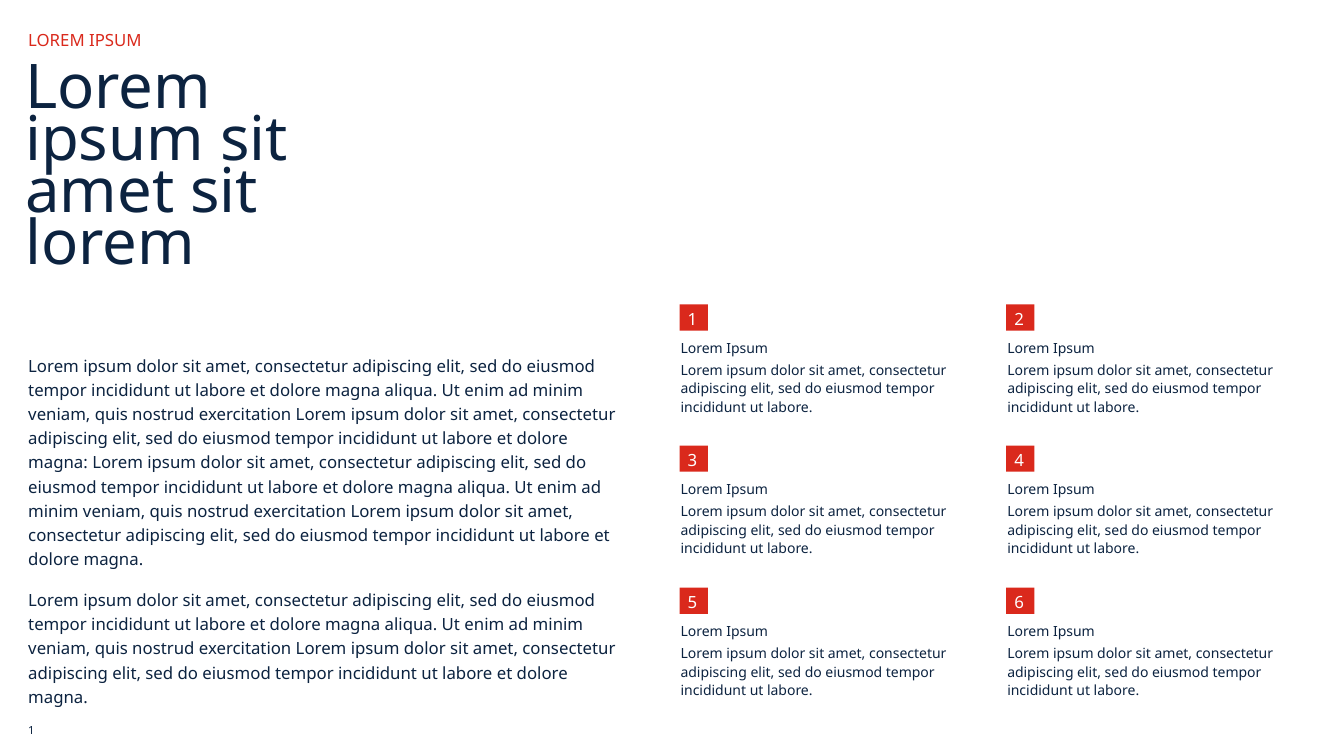
from pptx import Presentation
from pptx.dml.color import RGBColor
from pptx.enum.shapes import MSO_SHAPE as Shape
from pptx.enum.text import MSO_ANCHOR as Anchor, MSO_AUTO_SIZE as AutoSize, PP_ALIGN as Align
from pptx.util import Inches, Pt

NAVY, RED, WHITE = "0C2340", "DA291C", "FFFFFF"

SENTENCE = "Lorem ipsum dolor sit amet, consectetur adipiscing elit, sed do eiusmod tempor incididunt ut labore"
PASSAGE = (SENTENCE + " et dolore magna aliqua. Ut enim ad minim veniam, quis nostrud exercitation "
           + SENTENCE + " et dolore magna")


def color(hex_code):
    return RGBColor.from_string(hex_code)


class SlideBuilder:
    """Holds the style and the current slide."""

    font = "Noto Sans"

    def __init__(self, deck):
        self.page = deck.slides.add_slide(deck.slide_layouts[5])

    def fill_text(self, box, texts, size, ink=NAVY, spacing=None, after=0, anchor=Anchor.TOP, top_inset=0):
        frame = box.text_frame
        frame.word_wrap = True
        frame.auto_size = AutoSize.NONE
        frame.vertical_anchor = anchor
        frame.margin_left = frame.margin_right = frame.margin_bottom = 0
        frame.margin_top = Inches(top_inset)
        for index, text in enumerate(texts):
            para = frame.add_paragraph() if index else frame.paragraphs[0]
            para.alignment = Align.LEFT
            para.space_before = Pt(0)
            para.space_after = Pt(after)
            if spacing:
                para.line_spacing = spacing
            span = para.add_run()
            span.text = text
            span.font.name = self.font
            span.font.size = Pt(size)
            span.font.color.rgb = color(ink)

    def title(self, left, top, width, height, text, **style):
        box = self.page.shapes.title
        box.left, box.top = Inches(left), Inches(top)
        box.width, box.height = Inches(width), Inches(height)
        self.fill_text(box, [text], **style)

    def text(self, left, top, width, height, *texts, **style):
        box = self.page.shapes.add_textbox(Inches(left), Inches(top), Inches(width), Inches(height))
        self.fill_text(box, texts, **style)

    def square(self, left, top, width, height, fill):
        box = self.page.shapes.add_shape(
            Shape.RECTANGLE, Inches(left), Inches(top), Inches(width), Inches(height))
        box.shadow.inherit = False
        box.fill.solid()
        box.fill.fore_color.rgb = color(fill)
        box.line.fill.background()

    def numbered_item(self, left, top, width, number, heading, body):
        self.square(left, top, 0.28, 0.26, RED)
        self.text(left + 0.08, top, 0.13, 0.21, str(number), size=12, ink=WHITE, top_inset=0.04)
        self.text(left + 0.01, top + 0.31, width, 0.4, heading, size=10, top_inset=0.04)
        self.text(left + 0.01, top + 0.51, width, 0.64, body,
                  size=10, spacing=1.1, after=12, top_inset=0.04)


def main():
    deck = Presentation()
    deck.slide_width, deck.slide_height = Inches(13.33), Inches(7.5)
    slide = SlideBuilder(deck)

    # Heading
    slide.title(0.25, 0.67, 2.76, 2.35, "Lorem ipsum sit amet sit lorem", size=44, spacing=0.7)
    slide.text(0.28, 0.26, 2.23, 0.22, "LOREM IPSUM", size=12, ink=RED, spacing=Pt(16.8))

    # Body text
    slide.text(0.28, 3.47, 5.91, 3.54, f"{PASSAGE}: {PASSAGE}.", f"{PASSAGE}.",
               size=12, spacing=1.2, after=12, anchor=Anchor.BOTTOM)

    # Numbered items, two columns by three rows
    number = 0
    for top in (3.02, 4.42, 5.83):
        for left in (6.74, 9.98):
            number += 1
            slide.numbered_item(left, top, 2.65, number, "Lorem Ipsum", SENTENCE + ".")

    # Page number
    slide.text(0.28, 7.13, 0.54, 0.22, "1", size=8, anchor=Anchor.MIDDLE)

    deck.save("out.pptx")


if __name__ == "__main__":
    main()
